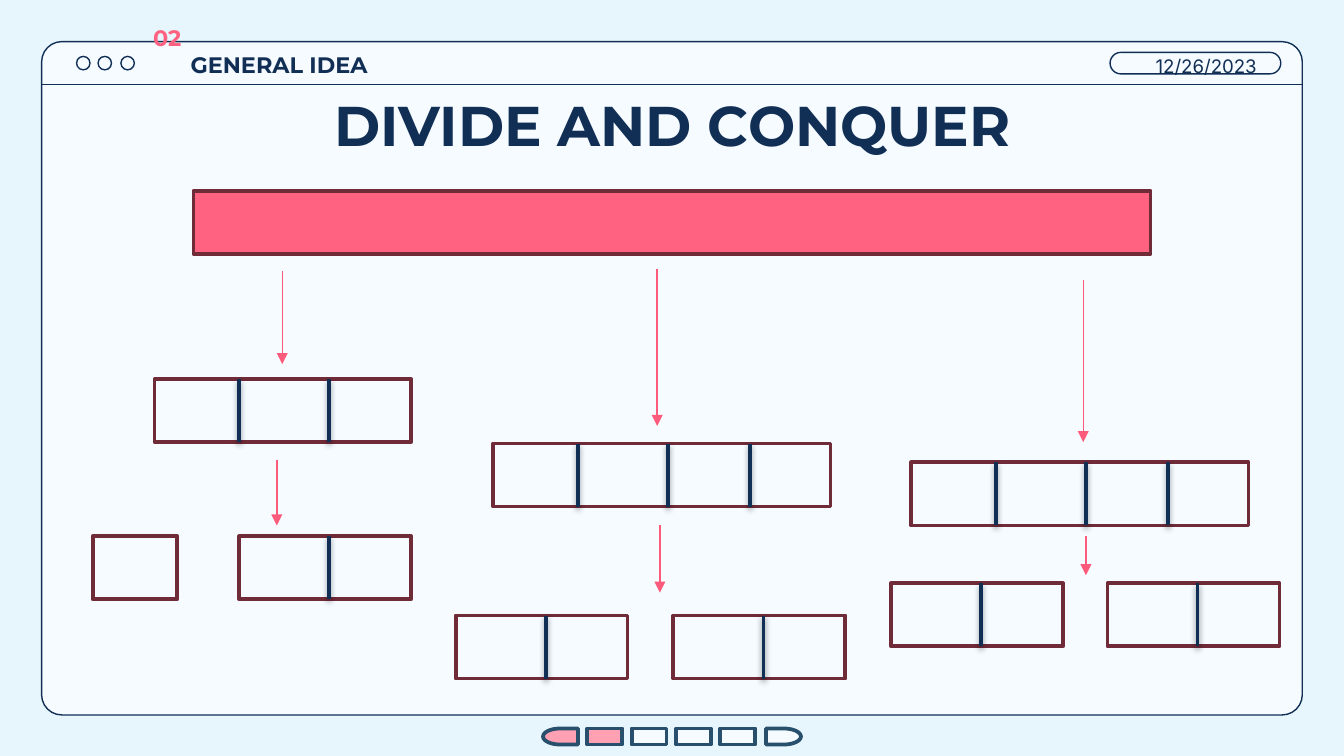
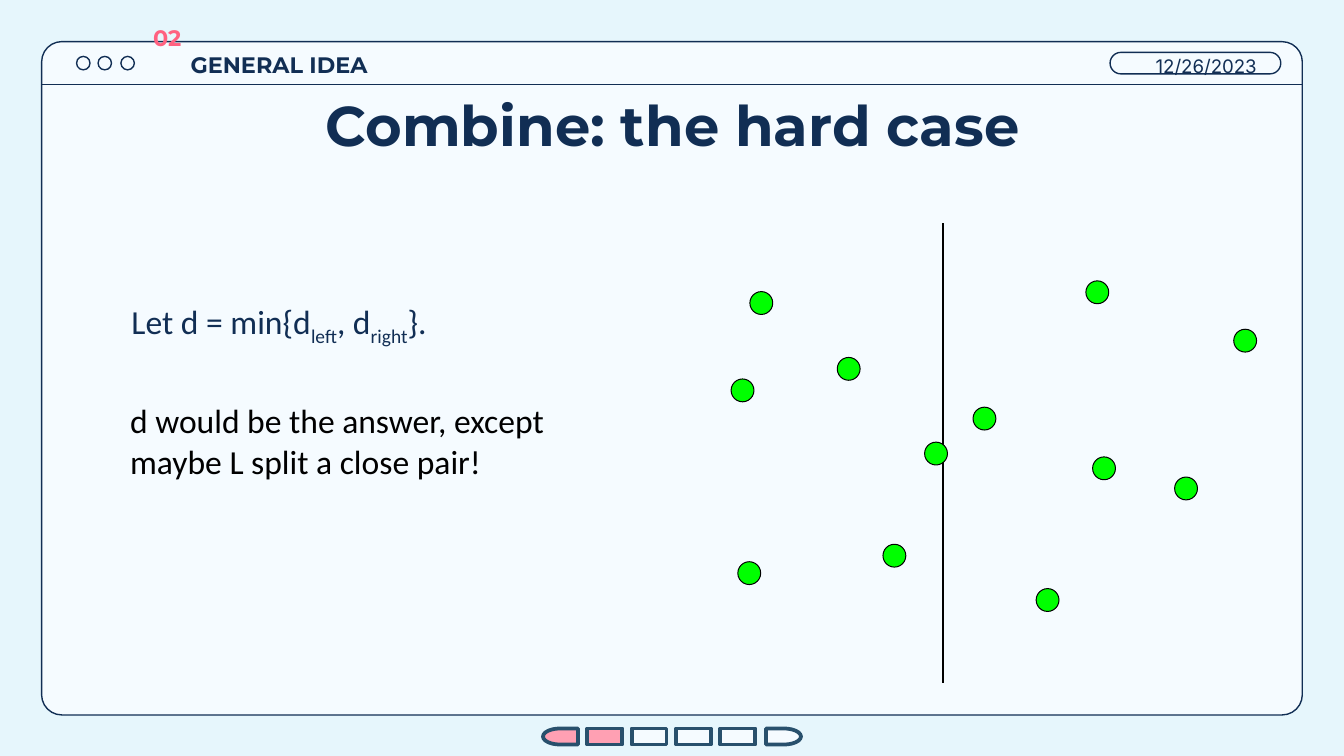
from dataclasses import dataclass
from typing import Any, NamedTuple, Optional

from lxml.etree import SubElement
from pptx import Presentation
from pptx.dml.color import RGBColor
from pptx.enum.shapes import MSO_CONNECTOR, MSO_SHAPE
from pptx.enum.text import MSO_ANCHOR, MSO_AUTO_SIZE, PP_ALIGN
from pptx.oxml.ns import qn
from pptx.util import Emu, Pt

EMU_PER_PX = 9144
SKY = RGBColor(0xE6, 0xF6, 0xFC)
PAPER = RGBColor(0xF5, 0xFB, 0xFF)
NAVY = RGBColor(0x11, 0x2E, 0x54)
STEEL = RGBColor(0x28, 0x50, 0x6C)
PINK = RGBColor(0xFF, 0x61, 0x80)
ARROW_PINK = RGBColor(0xFD, 0x5B, 0x7B)
PALE_PINK = RGBColor(0xFF, 0xA0, 0xB3)
MAROON = RGBColor(0x70, 0x2B, 0x38)
GREEN = RGBColor(0x00, 0xFF, 0x00)
BLACK = RGBColor(0x00, 0x00, 0x00)

TITLE_ONLY = 5
ROW_HEIGHT = 47
DOT_SIZE = 17
PROGRESS_STEPS = 6
PROGRESS_DONE = 2


class Box(NamedTuple):
    left: int
    top: int
    width: int
    height: int


class Stroke(NamedTuple):
    color: RGBColor
    points: float


class TextStyle(NamedTuple):
    font: str
    size: int
    color: RGBColor
    bold: bool = False


class Run(NamedTuple):
    text: str
    subscript: bool = False


class CellRow(NamedTuple):
    left: int
    top: int
    width: int
    dividers: tuple[int, ...] = ()


class Arrow(NamedTuple):
    x: int
    top: int
    bottom: int


class Point(NamedTuple):
    left: int
    top: int


@dataclass(frozen=True)
class Label:
    box: Box
    runs: tuple[Run, ...]
    style: TextStyle
    anchor: MSO_ANCHOR = MSO_ANCHOR.TOP
    insets: tuple[int, int, int, int] = (10, 10, 10, 10)
    margin: int = 0
    indent: int = 0
    line_spacing: Optional[float] = None
    alignment: Optional[PP_ALIGN] = None


THIN = Stroke(NAVY, 0.75)
DIVIDER = Stroke(NAVY, 2)
CELL_BORDER = Stroke(MAROON, 2)
PROGRESS_BORDER = Stroke(STEEL, 2)
ARROW_LINE = Stroke(ARROW_PINK, 0.75)
DOT_BORDER = Stroke(BLACK, 0.54)
SPLIT_LINE = Stroke(BLACK, 1.08)

TITLE_STYLE = TextStyle("Montserrat", 30, NAVY, True)
TITLE_BOX = Box(79, 57, 843, 63)

HEADER_LABELS = (
    Label(Box(132, 27, 188, 41), (Run("GENERAL IDEA"),),
          TextStyle("Montserrat", 12, NAVY, True), MSO_ANCHOR.BOTTOM),
    Label(Box(104, 14, 42, 34), (Run("02"),),
          TextStyle("Montserrat", 12, PINK, True), MSO_ANCHOR.BOTTOM,
          insets=(10, 0, 0, 10)),
    Label(Box(835, 28, 138, 39), (Run("12/26/2023"),),
          TextStyle("Inter", 10, NAVY), margin=15, line_spacing=1.15),
)

WHOLE_ARRAY = Box(144, 142, 712, ROW_HEIGHT)
TRIPLE = (63, 130)
QUAD = (63, 130, 191)
PAIR = (67,)
CELL_ROWS = (
    CellRow(115, 282, 191, TRIPLE),
    CellRow(367, 330, 251, QUAD),
    CellRow(678, 344, 251, QUAD),
    CellRow(178, 399, 128, PAIR),
    CellRow(69, 399, 63),
    CellRow(339, 458, 128, PAIR),
    CellRow(501, 458, 128, PAIR),
    CellRow(663, 434, 128, PAIR),
    CellRow(824, 434, 128, PAIR),
)
ARROWS = (
    Arrow(210, 202, 271),
    Arrow(489, 200, 317),
    Arrow(806, 208, 329),
    Arrow(206, 342, 391),
    Arrow(491, 391, 441),
    Arrow(808, 399, 428),
)

BODY = "Calibri"
HARD_CASE_LABELS = (
    Label(Box(73, 209, 375, 208),
          (Run("Let d = min{d"), Run("left", True), Run(", d"),
           Run("right", True), Run("}.")),
          TextStyle(BODY, 18, NAVY), margin=50, indent=-35, line_spacing=1.15),
    Label(Box(87, 293, 374, 71),
          (Run("d would be the answer, except maybe L split a close pair!"),),
          TextStyle(BODY, 18, BLACK), insets=(10, 5, 10, 5)),
)
DOTS = (
    Point(623, 266), Point(544, 282), Point(657, 405), Point(549, 418),
    Point(688, 329), Point(724, 303), Point(771, 438), Point(813, 340),
    Point(918, 245), Point(808, 209), Point(874, 355), Point(558, 217),
)


def px(length: int) -> Emu:
    return Emu(length * EMU_PER_PX)


def apply_format(target: Any, values: dict[str, Any]) -> None:
    for name, value in values.items():
        setattr(target, name, value)


def add_shape(shapes: Any, kind: MSO_SHAPE, box: Box, stroke: Stroke,
              fill: Optional[RGBColor] = None) -> Any:
    shape = shapes.add_shape(kind, *map(px, box))
    shape.shadow.inherit = False
    if fill is None:
        shape.fill.background()
    else:
        shape.fill.solid()
        shape.fill.fore_color.rgb = fill
    shape.line.color.rgb = stroke.color
    shape.line.width = Pt(stroke.points)
    return shape


def add_line(shapes: Any, start: Point, end: Point, stroke: Stroke,
             arrow: bool = False, shadow: bool = False) -> None:
    connector = shapes.add_connector(MSO_CONNECTOR.STRAIGHT, *map(px, start + end))
    connector.line.color.rgb = stroke.color
    connector.line.width = Pt(stroke.points)
    properties = connector._element.spPr
    if arrow:
        SubElement(properties.find(qn("a:ln")), qn("a:tailEnd"), type="triangle")
    effects = SubElement(properties, qn("a:effectLst"))
    if shadow:
        outer = SubElement(effects, qn("a:outerShdw"), blurRad=str(Pt(3.1)),
                           dist=str(Pt(1.6)), dir="5400000", algn="bl",
                           rotWithShape="0")
        color = SubElement(outer, qn("a:srgbClr"), val=str(BLACK))
        SubElement(color, qn("a:alpha"), val="38000")


def write_label(shape: Any, label: Label) -> None:
    left, top, right, bottom = map(px, label.insets)
    frame = shape.text_frame
    apply_format(frame, {
        "word_wrap": True,
        "auto_size": MSO_AUTO_SIZE.NONE,
        "vertical_anchor": label.anchor,
        "margin_left": left,
        "margin_top": top,
        "margin_right": right,
        "margin_bottom": bottom,
    })
    paragraph = frame.paragraphs[0]
    properties = paragraph._p.get_or_add_pPr()
    properties.set("marL", str(px(label.margin)))
    properties.set("indent", str(px(label.indent)))
    apply_format(paragraph, {
        "alignment": label.alignment,
        "line_spacing": label.line_spacing,
    })
    style = label.style
    for part in label.runs:
        run = paragraph.add_run()
        run.text = part.text
        apply_format(run.font, {
            "name": style.font,
            "size": Pt(style.size),
            "bold": style.bold,
        })
        run.font.color.rgb = style.color
        if part.subscript:
            run._r.get_or_add_rPr().set("baseline", "-25000")


def add_label(slide: Any, label: Label) -> None:
    write_label(slide.shapes.add_textbox(*map(px, label.box)), label)


def add_window(slide: Any) -> None:
    shapes = slide.shapes.add_group_shape().shapes
    frame = add_shape(shapes, MSO_SHAPE.ROUNDED_RECTANGLE,
                      Box(31, 31, 938, 501), THIN, PAPER)
    frame.adjustments[0] = 0.03
    for left in (57, 73, 90):
        add_shape(shapes, MSO_SHAPE.OVAL, Box(left, 42, 10, 10), THIN)
    date_pill = add_shape(shapes, MSO_SHAPE.ROUNDED_RECTANGLE,
                          Box(826, 39, 127, 16), THIN)
    date_pill.adjustments[0] = 0.5
    add_line(shapes, Point(31, 63), Point(969, 63), THIN)


def add_progress(slide: Any) -> None:
    shapes = slide.shapes.add_group_shape().shapes
    for step in range(PROGRESS_STEPS):
        at_end = step in (0, PROGRESS_STEPS - 1)
        kind = MSO_SHAPE.FLOWCHART_DELAY if at_end else MSO_SHAPE.RECTANGLE
        fill = PALE_PINK if step < PROGRESS_DONE else PAPER
        box = Box(404 + step * 166 // 5, 542, 26, 12)
        shape = add_shape(shapes, kind, box, PROGRESS_BORDER, fill)
        shape.rotation = 180 if step == 0 else 0


def add_base_slide(presentation: Any, heading: str) -> Any:
    slide = presentation.slides.add_slide(presentation.slide_layouts[TITLE_ONLY])
    title = slide.shapes.title
    add_window(slide)
    slide.shapes._spTree.append(title._element)
    apply_format(title, dict(zip(Box._fields, map(px, TITLE_BOX))))
    write_label(title, Label(TITLE_BOX, (Run(heading),), TITLE_STYLE,
                             alignment=PP_ALIGN.CENTER))
    for label in HEADER_LABELS:
        add_label(slide, label)
    add_progress(slide)
    return slide


def add_cell_row(slide: Any, row: CellRow) -> None:
    shapes = slide.shapes.add_group_shape().shapes if row.dividers else slide.shapes
    add_shape(shapes, MSO_SHAPE.RECTANGLE,
              Box(row.left, row.top, row.width, ROW_HEIGHT), CELL_BORDER)
    for offset in row.dividers:
        x = row.left + offset
        add_line(shapes, Point(x, row.top), Point(x, row.top + ROW_HEIGHT),
                 DIVIDER, shadow=True)


def add_divide_slide(presentation: Any) -> None:
    slide = add_base_slide(presentation, "DIVIDE AND CONQUER")
    add_shape(slide.shapes, MSO_SHAPE.RECTANGLE, WHOLE_ARRAY, CELL_BORDER, PINK)
    for row in CELL_ROWS:
        add_cell_row(slide, row)
    for arrow in ARROWS:
        add_line(slide.shapes, Point(arrow.x, arrow.top),
                 Point(arrow.x, arrow.bottom), ARROW_LINE, arrow=True)


def add_combine_slide(presentation: Any) -> None:
    slide = add_base_slide(presentation, "Combine: the hard case")
    for label in HARD_CASE_LABELS:
        add_label(slide, label)
    shapes = slide.shapes.add_group_shape().shapes
    add_line(shapes, Point(702, 508), Point(702, 166), SPLIT_LINE)
    for dot in DOTS:
        add_shape(shapes, MSO_SHAPE.OVAL, Box(*dot, DOT_SIZE, DOT_SIZE),
                  DOT_BORDER, GREEN)


def main() -> None:
    presentation = Presentation()
    presentation.slide_width = px(1000)
    presentation.slide_height = Emu(px(1000) * 9 // 16)
    background = presentation.slide_master.background.fill
    background.solid()
    background.fore_color.rgb = SKY
    add_divide_slide(presentation)
    add_combine_slide(presentation)
    presentation.save("out.pptx")


if __name__ == "__main__":
    main()
